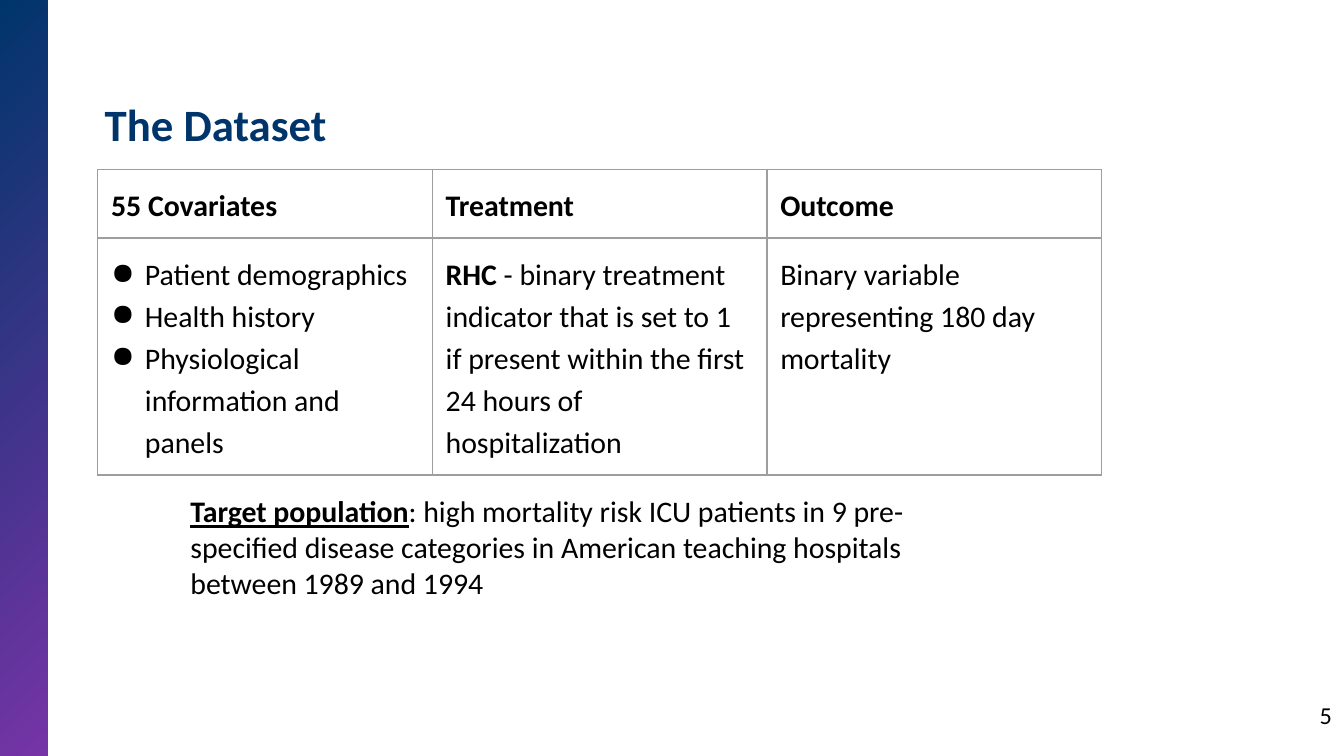
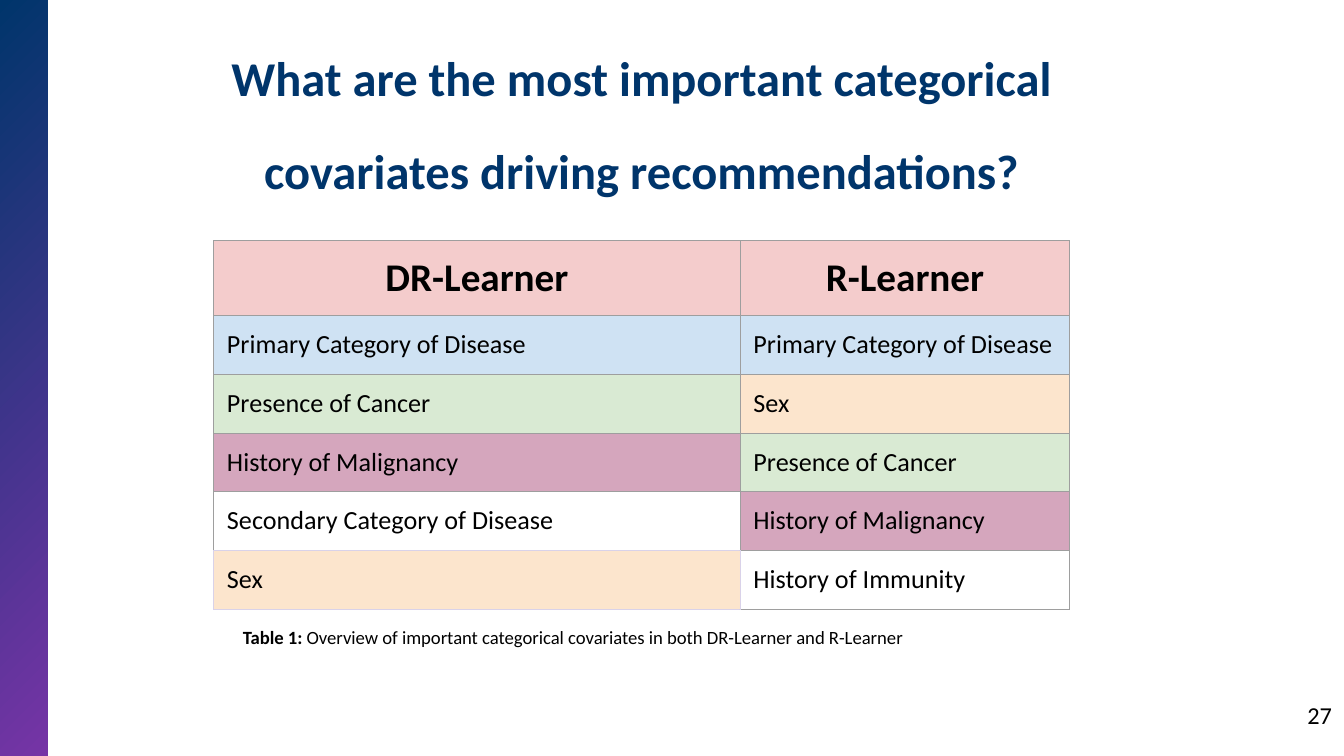
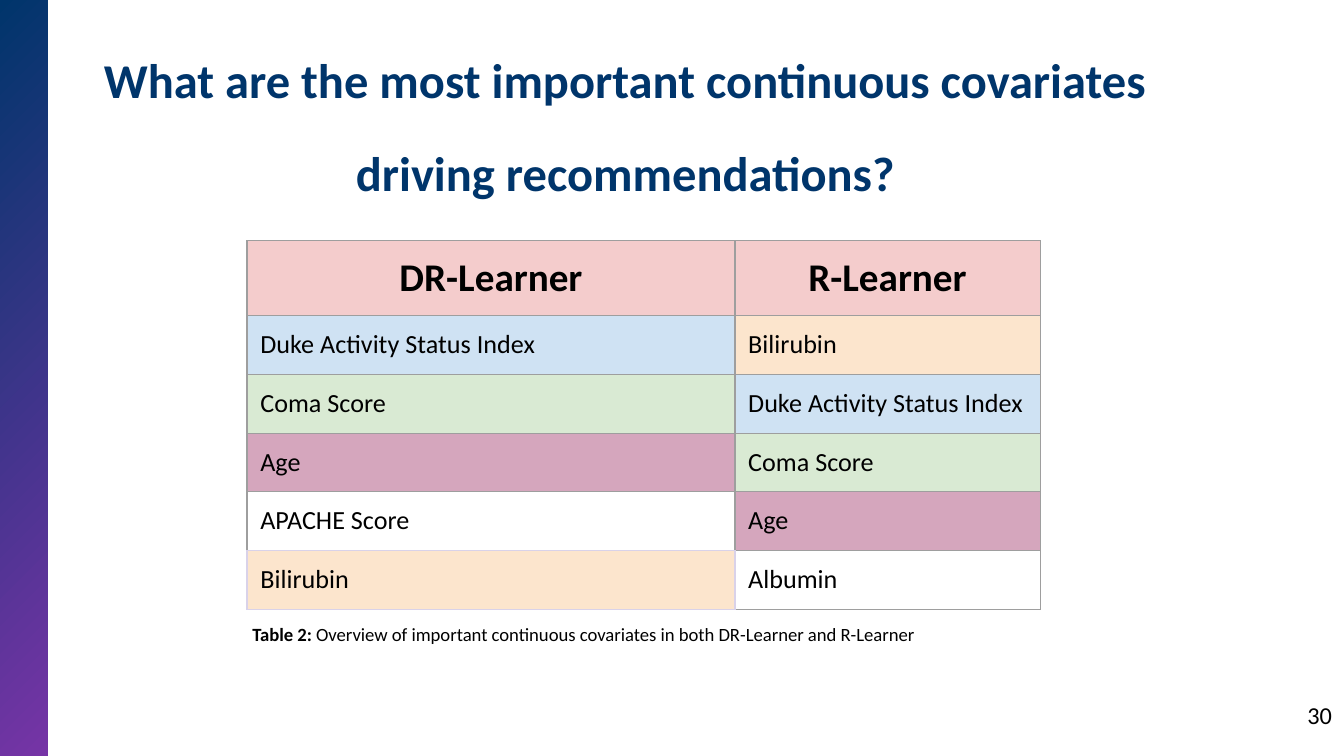
from dataclasses import dataclass

from lxml.etree import SubElement
from pptx import Presentation
from pptx.dml.color import RGBColor
from pptx.enum.shapes import MSO_SHAPE as Shape
from pptx.enum.text import MSO_ANCHOR as Anchor, PP_ALIGN as Align
from pptx.oxml.ns import qn
from pptx.util import Cm, Pt


@dataclass(frozen=True)
class Theme:
    """Colours, font and type sizes shared by all slides."""

    font: str = "Calibri"
    navy: str = "00356B"
    purple: str = "7634A6"
    ink: str = "000000"
    grid: str = "9E9E9E"
    soft_grid: str = "D9D2E9"
    white: str = "FFFFFF"
    pink: str = "F4CCCC"
    blue: str = "CFE2F3"
    green: str = "D9EAD3"
    mauve: str = "D5A6BD"
    peach: str = "FCE5CD"
    title: int = 24
    question: int = 26
    heading: int = 21
    body: int = 16
    entry: int = 14
    number: int = 13
    caption: int = 10
    border: float = 0.75


@dataclass(frozen=True)
class Box:
    """A rectangle measured in centimetres."""

    left: float
    top: float
    width: float
    height: float

    def lengths(self):
        """Return left, top, width and height as lengths."""
        return [Cm(side) for side in (self.left, self.top, self.width, self.height)]


THEME = Theme()
PAGE = Box(0, 0, 25.4, 14.29)
LEARNERS = ("DR-Learner", "R-Learner")


def write(para, spans, size, color=THEME.ink, align=None, spacing=None):
    """Fill a paragraph with (text, bold, underlined) spans."""
    para.alignment = align
    para.line_spacing = spacing
    for text, bold, underlined in spans:
        span = para.add_run()
        span.text = text
        font = span.font
        font.name, font.size = THEME.font, Pt(size)
        font.bold, font.underline = bold, underlined
        font.color.rgb = RGBColor.from_string(color)


def add_text(page, box, spans, size, inset=(0.25, 0.25), anchor=Anchor.TOP, **style):
    """Place one wrapped paragraph in a text box."""
    frame = page.shapes.add_textbox(*box.lengths()).text_frame
    frame.word_wrap = True
    frame.vertical_anchor = anchor
    frame.margin_left = frame.margin_right = Cm(inset[0])
    frame.margin_top = frame.margin_bottom = Cm(inset[1])
    write(frame.paragraphs[0], spans, size, **style)


def add_band(page, box):
    """Draw the gradient band along the left edge of the box."""
    band = page.shapes.add_shape(
        Shape.RECTANGLE, *Box(box.left, box.top, 0.9, box.height).lengths())
    band.shadow.inherit = False
    band.line.fill.background()
    band.fill.gradient()
    band.fill.gradient_angle = 315
    for stop, color in zip(band.fill.gradient_stops, (THEME.navy, THEME.purple)):
        stop.color.rgb = RGBColor.from_string(color)


def add_page(deck, number, title, title_box, size, align=None):
    """Start a slide with its band, title and page number."""
    page = deck.slides.add_slide(deck.slide_layouts[6])
    add_band(page, PAGE)
    add_text(page, title_box, [(title, True, False)], size, (0.13, 0.05),
             Anchor.MIDDLE, color=THEME.navy, align=align, spacing=1.6)
    corner = Box(PAGE.width - 1.63, PAGE.height - 1.1, 1.53, 1.1)
    add_text(page, corner, [(str(number), False, False)], THEME.number,
             (0.13, 0.05), align=Align.RIGHT)
    return page


def add_grid(page, box, widths, heights):
    """Add a plain table with the given column widths and row heights."""
    table = page.shapes.add_table(len(heights), len(widths), *box.lengths()).table
    table.first_row = table.horz_banding = False
    for column, width in zip(table.columns, widths):
        column.width = Cm(width)
    for row, height in zip(table.rows, heights):
        row.height = Cm(height)
    return table


def style_cell(cell, fill=None, soft_sides=""):
    """Set the margins, borders and fill of a table cell."""
    cell.margin_left = cell.margin_right = Cm(0.25)
    cell.margin_top = cell.margin_bottom = Cm(0.25)
    properties = cell._tc.get_or_add_tcPr()
    for side in "LRTB":
        line = SubElement(properties, qn(f"a:ln{side}"), w=str(Pt(THEME.border)))
        color = THEME.soft_grid if side in soft_sides else THEME.grid
        SubElement(SubElement(line, qn("a:solidFill")), qn("a:srgbClr"), val=color)
    if fill:
        cell.fill.solid()
        cell.fill.fore_color.rgb = RGBColor.from_string(fill)
    else:
        cell.fill.background()


def add_bullet(para):
    """Give a paragraph a hanging round bullet."""
    properties = para._p.get_or_add_pPr()
    properties.set("marL", str(Cm(0.64)))
    properties.set("indent", str(-Cm(0.64)))
    SubElement(SubElement(properties, qn("a:buClr")), qn("a:srgbClr"), val=THEME.ink)
    SubElement(properties, qn("a:buChar"), char="●")


def add_dataset_table(page, box, columns):
    """Fill a two-row table from (heading, paragraphs, bulleted) columns."""
    widths = [box.width / len(columns)] * len(columns)
    table = add_grid(page, box, widths, (1.3, box.height - 1.3))
    for index, (heading, paragraphs, bulleted) in enumerate(columns):
        top, bottom = table.cell(0, index), table.cell(1, index)
        style_cell(top)
        style_cell(bottom)
        write(top.text_frame.paragraphs[0], [(heading, True, False)],
              THEME.body, spacing=1.15)
        frame = bottom.text_frame
        for order, spans in enumerate(paragraphs):
            para = frame.add_paragraph() if order else frame.paragraphs[0]
            if bulleted:
                add_bullet(para)
            write(para, spans, THEME.body, spacing=1.15)


def add_ranking_table(page, box, rankings, colors):
    """Rank covariates per learner, matching colours across columns."""
    count = len(rankings[0])
    first = round(box.width * 0.615, 2)
    heading = 1.42
    entry = (box.height - heading) / count
    table = add_grid(page, box, (first, box.width - first), [heading] + [entry] * count)
    soft = {(count, 0): "LRTB", (count - 1, 0): "B", (count, 1): "L"}
    for column, (learner, names) in enumerate(zip(LEARNERS, rankings)):
        for row, name in enumerate((learner, *names)):
            cell = table.cell(row, column)
            fill = colors.get(name, THEME.white) if row else THEME.pink
            style_cell(cell, fill, soft.get((row, column), ""))
            write(cell.text_frame.paragraphs[0], [(name, not row, False)],
                  THEME.entry if row else THEME.heading,
                  align=None if row else Align.CENTER)


def dataset_slide(deck):
    """Describe the covariates, treatment, outcome and population."""
    page = add_page(deck, 5, "The Dataset", Box(1.85, 1.24, 11.43, 1.57), THEME.title)
    covariates = ("Patient demographics", "Health history",
                  "Physiological information and panels")
    treatment = [("RHC", True, False),
                 (" - binary treatment indicator that is set to 1 if present "
                  "within the first 24 hours of hospitalization", False, False)]
    outcome = [("Binary variable representing 180 day mortality", False, False)]
    add_dataset_table(page, Box(1.85, 3.2, 18.97, 5.78), (
        ("55 Covariates", [[(name, False, False)] for name in covariates], True),
        ("Treatment", [treatment], False),
        ("Outcome", [outcome], False),
    ))
    add_text(page, Box(3.35, 9.07, 15.95, 2.57), [
        ("Target population", True, True),
        (": high mortality risk ICU patients in 9 pre-specified disease categories "
         "in American teaching hospitals between 1989 and 1994", False, False),
    ], THEME.body)


def ranking_slide(deck, number, kind, order, boxes, rankings, colors):
    """Compare the leading covariates of both learners."""
    title_box, table_box, caption_box = boxes
    title = f"What are the most important {kind} covariates driving recommendations?"
    page = add_page(deck, number, title, title_box, THEME.question, Align.CENTER)
    add_ranking_table(page, table_box, rankings, colors)
    add_text(page, caption_box, [
        (f"Table {order}:", True, False),
        (f" Overview of important {kind} covariates in both DR-Learner and R-Learner",
         False, False),
    ], THEME.caption)


def main():
    """Build and save the deck."""
    deck = Presentation()
    deck.slide_width, deck.slide_height = Cm(PAGE.width), Cm(PAGE.height)
    dataset_slide(deck)
    ranking_slide(
        deck, 27, "categorical", 1,
        (Box(2.29, 1.22, 19.69, 1.57), Box(4.04, 4.55, 16.18, 6.97),
         Box(4.34, 11.61, 14.6, 0.74)),
        (("Primary Category of Disease", "Presence of Cancer", "History of Malignancy",
          "Secondary Category of Disease", "Sex"),
         ("Primary Category of Disease", "Sex", "Presence of Cancer",
          "History of Malignancy", "History of Immunity")),
        {"Primary Category of Disease": THEME.blue, "Presence of Cancer": THEME.green,
         "History of Malignancy": THEME.mauve, "Sex": THEME.peach})
    ranking_slide(
        deck, 30, "continuous", 2,
        (Box(1.68, 1.26, 20.29, 1.57), Box(4.67, 4.55, 14.99, 6.97),
         Box(4.52, 11.56, 14.6, 0.74)),
        (("Duke Activity Status Index", "Coma Score", "Age", "APACHE Score", "Bilirubin"),
         ("Bilirubin", "Duke Activity Status Index", "Coma Score", "Age", "Albumin")),
        {"Duke Activity Status Index": THEME.blue, "Coma Score": THEME.green,
         "Age": THEME.mauve, "Bilirubin": THEME.peach})
    deck.save("out.pptx")


if __name__ == "__main__":
    main()
